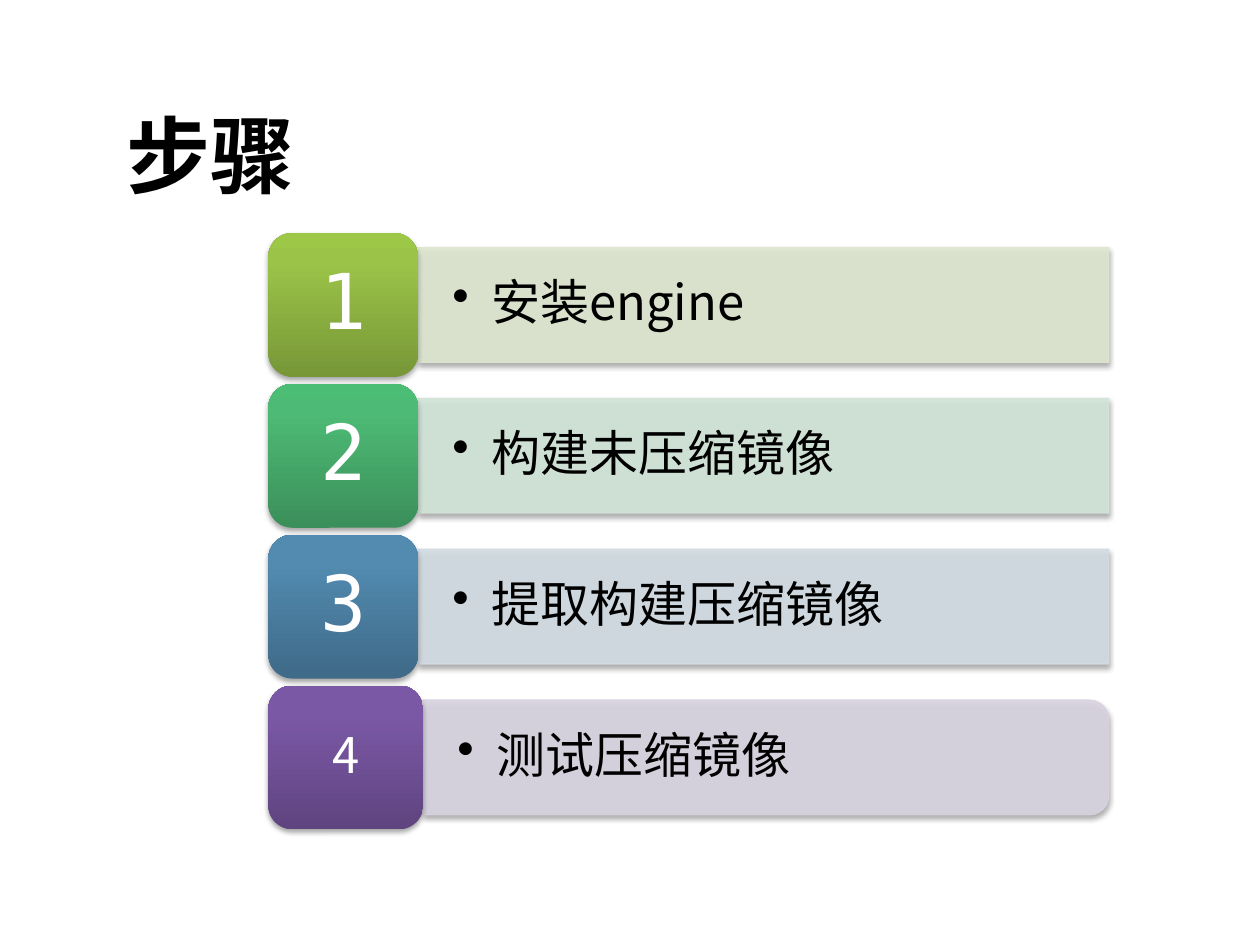
from copy import deepcopy

from lxml import etree
from pptx import Presentation
from pptx import util as u
from pptx.dml.color import RGBColor
from pptx.enum import shapes, text
from pptx.oxml import ns

SANS = "Noto Sans CJK SC"
MONO = "DejaVu Sans Mono"

# label, bar colour, tile gradient from bottom to top
STEPS = [
    ("安装engine", "DEE7D1", ("779737", "9BC348", "9DC746")),
    ("构建未压缩镜像", "D2E5D9", ("3B8F5A", "4DBA75", "4BBD75")),
    ("提取构建压缩镜像", "D2DCE2", ("3F6A88", "528AB0", "518BB3")),
    ("测试压缩镜像", "D8D3E0", ("5F4480", "7B58A6", "7C57A8")),
]


def rgb(value):
    return RGBColor.from_string(value)


def add_element(parent, tag, **attributes):
    return etree.SubElement(parent, ns.qn(tag), attributes)


def add_shadow(shape):
    shape.shadow.inherit = False
    effects = shape._element.spPr.find(ns.qn("a:effectLst"))
    shadow = add_element(effects, "a:outerShdw", blurRad=str(u.Pt(3.1)),
                         dist=str(u.Pt(1.8)), dir="5400000", rotWithShape="0")
    color = add_element(shadow, "a:srgbClr", val="000000")
    add_element(color, "a:alpha", val="35000")


def add_text(parts, box, content, size, font, color, inset=(0.25, 0.13),
             bold=False, align=text.PP_ALIGN.LEFT, spacing=0.9, indent=0):
    left, top, width, height = (u.Cm(length) for length in box)
    frame = parts.add_textbox(left, top, width, height).text_frame
    frame.word_wrap = True
    frame.vertical_anchor = text.MSO_ANCHOR.MIDDLE
    frame.margin_left = frame.margin_right = u.Cm(inset[0])
    frame.margin_top = frame.margin_bottom = u.Cm(inset[1])
    para = frame.paragraphs[0]
    para.alignment = align
    para.line_spacing = spacing
    if indent:
        para.level = 1
        props = para._p.get_or_add_pPr()
        props.set("marL", str(u.Cm(indent)))
        props.set("indent", str(-u.Cm(indent)))
        add_element(props, "a:buChar", char="•")
    span = para.add_run()
    span.text = content
    span.font.size = u.Pt(size)
    span.font.bold = bold
    span.font.name = font
    span.font.color.rgb = rgb(color)
    add_element(span._r.get_or_add_rPr(), "a:ea", typeface=font)


def add_bar(parts, box, label, color, rounded):
    """Draw a bar as an upright shape turned by 90 degrees, then its label."""
    left, top, width, height = box
    kind = (shapes.MSO_SHAPE.ROUND_2_SAME_RECTANGLE if rounded
            else shapes.MSO_SHAPE.RECTANGLE)
    bar = parts.add_shape(kind, u.Cm(left + (width - height) / 2),
                          u.Cm(top + (height - width) / 2), u.Cm(height), u.Cm(width))
    bar.rotation = 90
    bar.fill.solid()
    bar.fill.fore_color.rgb = rgb(color)
    bar.line.color.rgb = rgb(color)
    bar.line.width = u.Pt(0.75)
    for paint in bar._element.spPr.iter(ns.qn("a:srgbClr")):
        add_element(paint, "a:alpha", val="90000")
    add_shadow(bar)
    # The label keeps clear of rounded corners
    trim = 0.11 if rounded else 0
    add_text(parts, (left, top + trim, width - trim, height - 2 * trim), label,
             28, SANS, "000000", inset=(0.69, 0.36), indent=0.79)


def add_tile(parts, box, number, colors, size, font, inset):
    left, top, width, height = box
    tile = parts.add_shape(shapes.MSO_SHAPE.ROUNDED_RECTANGLE,
                           *(u.Cm(length) for length in box))
    tile.fill.gradient()
    tile.fill.gradient_angle = 90
    stops = tile._element.spPr.find(".//" + ns.qn("a:gsLst"))
    stops.append(deepcopy(stops[-1]))
    for stop, color, position in zip(tile.fill.gradient_stops, colors, (0, 0.8, 1)):
        stop.color.rgb = rgb(color)
        stop.position = position
    tile.line.fill.background()
    add_shadow(tile)
    edge = 0.14
    add_text(parts, (left + edge, top + edge, width - 2 * edge, height - 2 * edge),
             number, size, font, "FFFFFF", inset=inset, align=text.PP_ALIGN.CENTER)


def add_steps(page, box):
    left, top, width, height = box
    tile_height, bar_height = 2.9, 2.31
    pitch = (height - tile_height) / (len(STEPS) - 1)
    parts = page.shapes.add_group_shape().shapes
    for index, (label, bar_color, tile_colors) in enumerate(STEPS):
        last = index == len(STEPS) - 1
        row = top + index * pitch
        tile_width = 3.12 if last else 3.02
        add_bar(parts, (left + tile_width, row + (tile_height - bar_height) / 2,
                        width - tile_width, bar_height), label, bar_color, last)
        size, font, inset = (28, SANS, (0.3, 0.15)) if last else (44, MONO, (0.46, 0.23))
        add_tile(parts, (left, row, tile_width, tile_height), str(index + 1),
                 tile_colors, size, font, inset)


def main():
    deck = Presentation()
    deck.slide_width, deck.slide_height = u.Cm(25.4), u.Cm(19.05)
    page = deck.slides.add_slide(deck.slide_layouts[6])
    # Title
    add_text(page.shapes, (2.31, 1.52, 22.43, 3.18), "步骤", 48, SANS, "000000",
             bold=True, spacing=1.0)
    # Numbered steps
    add_steps(page, (5.41, 4.7, 16.94, 12.02))
    deck.save("out.pptx")


if __name__ == "__main__":
    main()
